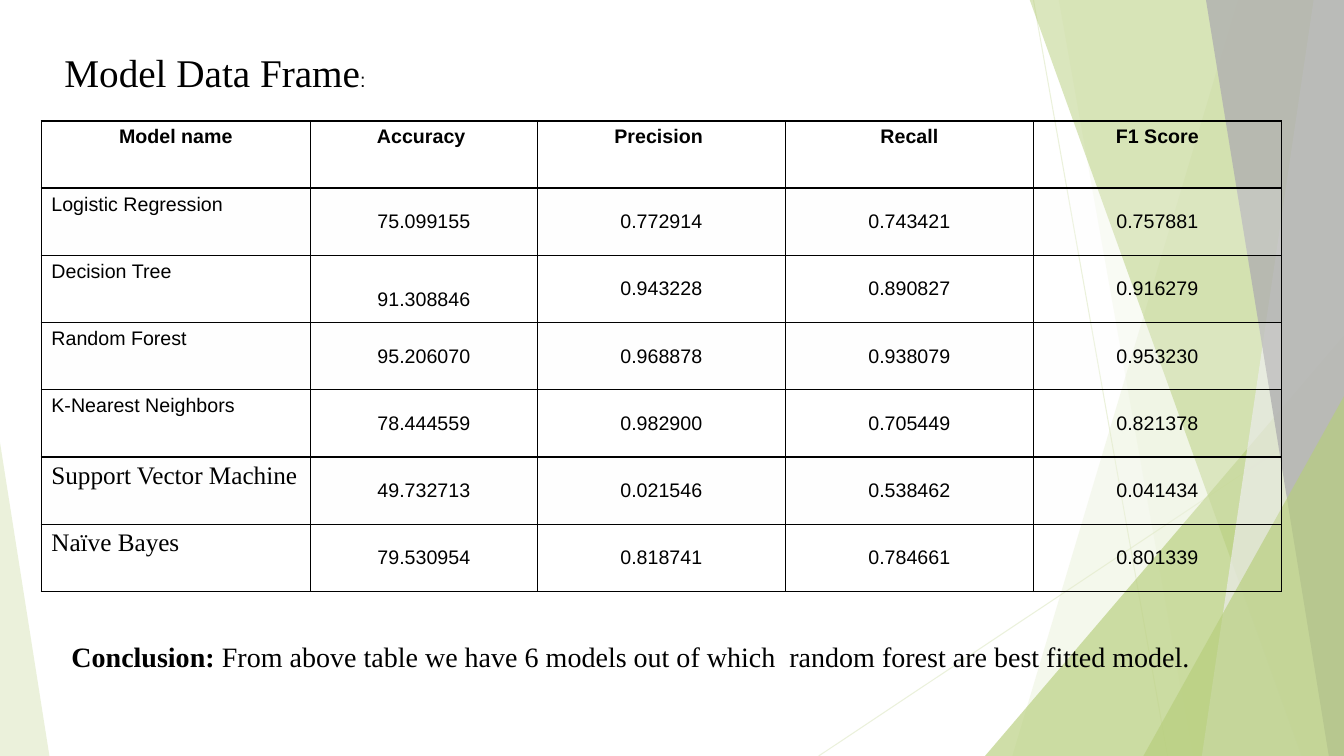
"""Build the model comparison slide with its table and faceted backdrop."""
import pptx
import pptx.util
import pptx.dml.color
import pptx.enum.shapes
import pptx.enum.text
import pptx.oxml
import pptx.oxml.ns
import lxml.etree

PX = 9144
WIDE, HIGH = 1333, 750
RGB = pptx.dml.color.RGBColor
BLACK = RGB(0x00, 0x00, 0x00)
WHITE = RGB(0xFF, 0xFF, 0xFF)
PALE = RGB(0xE3, 0xEC, 0xCC)
GREEN = RGB(0xB7, 0xCE, 0x7C)
MIST = RGB(0xEB, 0xEB, 0xEB)
GREY = RGB(0xB0, 0xB0, 0xB0)
CLOUD = RGB(0xFB, 0xFB, 0xFB)
SANS, SERIF = "Arial", "Times New Roman"
CENTER = pptx.enum.text.PP_ALIGN.CENTER
LEFT = pptx.enum.text.PP_ALIGN.LEFT
MIDDLE = pptx.enum.text.MSO_ANCHOR.MIDDLE
TOP = pptx.enum.text.MSO_ANCHOR.TOP
qn = pptx.oxml.ns.qn


def write(para, text, size=14, font=SANS, bold=False, align=LEFT):
    para.alignment = align
    run = para.add_run()
    run.text = text
    run.font.size = pptx.util.Pt(size)
    run.font.name = font
    run.font.bold = bold
    run.font.color.rgb = BLACK


def fade(props, alpha):
    tint = props.find(".//" + qn("a:srgbClr"))
    lxml.etree.SubElement(tint, qn("a:alpha"), val=str(alpha * 1000))


deck = pptx.Presentation()
deck.slide_width, deck.slide_height = WIDE * PX, HIGH * PX
slide = deck.slides.add_slide(deck.slide_layouts[6])
slide.background.fill.solid()
slide.background.fill.fore_color.rgb = WHITE
shapes = slide.shapes

for ends in [(1025, 0, 1158, 750), (1333, 403, 812, 750)]:
    line = shapes.add_connector(pptx.enum.shapes.MSO_CONNECTOR.STRAIGHT, *[n * PX for n in ends])
    line.line.color.rgb = PALE
    line.line.width = pptx.util.Pt(0.75)
    props = line.element.spPr
    fade(props, 70)
    lxml.etree.SubElement(props, qn("a:effectLst"))

# (top x, foot x) makes a band to the right edge; (x, y, w, h, apex) a triangle
facets = [
    ((1228, 1004), PALE, 36),
    ((1050, 1183), PALE, 20),
    ((977, 333, 356, 417, 1), GREEN, 66),
    ((1021, 1291), GREEN, 50),
    ((1303, 1192), MIST, 70),
    ((1196, 1318), GREY, 80),
    ((1134, 393, 199, 357, 1), GREEN, 66),
    ((0, 439, 49, 311, 0), PALE, 70),
]
for form, color, alpha in facets:
    if len(form) == 2:
        top, foot = form
        path = shapes.build_freeform(top, -1, scale=PX)
        path.add_line_segments([(WIDE, -1), (WIDE, HIGH), (foot, HIGH)], close=True)
        facet = path.convert_to_shape()
    else:
        kind = pptx.enum.shapes.MSO_SHAPE.ISOSCELES_TRIANGLE
        facet = shapes.add_shape(kind, *[n * PX for n in form[:4]])
        facet.adjustments[0] = form[4]
    facet.shadow.inherit = False
    facet.fill.solid()
    facet.fill.fore_color.rgb = color
    facet.line.fill.background()
    fade(facet.element.spPr, alpha)

notes = [
    ((54, 43, 392, 57), [("Model Data Frame", 28, SERIF, False), (":", 14, SANS, False)]),
    ((54, 630, 1218, 44), [
        (" ", 20, SERIF, False),
        ("Conclusion: ", 20, SERIF, True),
        ("From above table we have 6 models out of which  random forest are best fitted model.",
         20, SERIF, False),
    ]),
]
for place, runs in notes:
    frame = shapes.add_textbox(*[n * PX for n in place]).text_frame
    frame.word_wrap = True
    for text, size, font, bold in runs:
        write(frame.paragraphs[0], text, size=size, font=font, bold=bold)

rows = [
    ("Model name", "Accuracy ", "Precision ", "Recall", "F1 Score"),
    ("Logistic Regression", "75.099155", "0.772914", "0.743421", "0.757881"),
    ("Decision Tree", "91.308846", "0.943228", "0.890827", "0.916279"),
    ("Random Forest", "95.206070", "0.968878", "0.938079", "0.953230"),
    ("K-Nearest Neighbors", "78.444559", "0.982900", "0.705449", "0.821378"),
    ("Support Vector Machine", "49.732713", "0.021546", "0.538462", "0.041434"),
    ("Naïve Bayes", "79.530954", "0.818741", "0.784661", "0.801339"),
]
widths = [267, 225, 246, 246, 246]
grid = shapes.add_table(len(rows), len(widths), 41 * PX, 120 * PX, sum(widths) * PX, 467 * PX).table
grid.first_row = grid.horz_banding = False
for col, width in zip(grid.columns, widths):
    col.width = width * PX
for r, row in enumerate(rows):
    grid.rows[r].height = 467 * PX // len(rows)
    for c, text in enumerate(row):
        cell = grid.cell(r, c)
        head, name = r == 0, c == 0
        serif = name and r >= 5
        cell.vertical_anchor = TOP if head or name else MIDDLE
        write(cell.text_frame.paragraphs[0], text, size=18 if serif else 14,
              font=SERIF if serif else SANS, bold=head,
              align=CENTER if head or not name else LEFT)
        props = cell._tc.get_or_add_tcPr()
        for side in "LRTB":
            thick = (r, side) in [(0, "B"), (1, "T")]
            edge = lxml.etree.SubElement(props, qn("a:ln" + side), w="25400" if thick else "12700")
            ink = lxml.etree.SubElement(edge, qn("a:solidFill"))
            lxml.etree.SubElement(ink, qn("a:srgbClr"), val=str(BLACK))
        if r % 2:
            cell.fill.solid()
            cell.fill.fore_color.rgb = CLOUD
            fade(props.find(qn("a:solidFill")), 20)
        else:
            cell.fill.background()
grid.cell(2, 1).margin_top = 27 * PX

deck.save("out.pptx")
